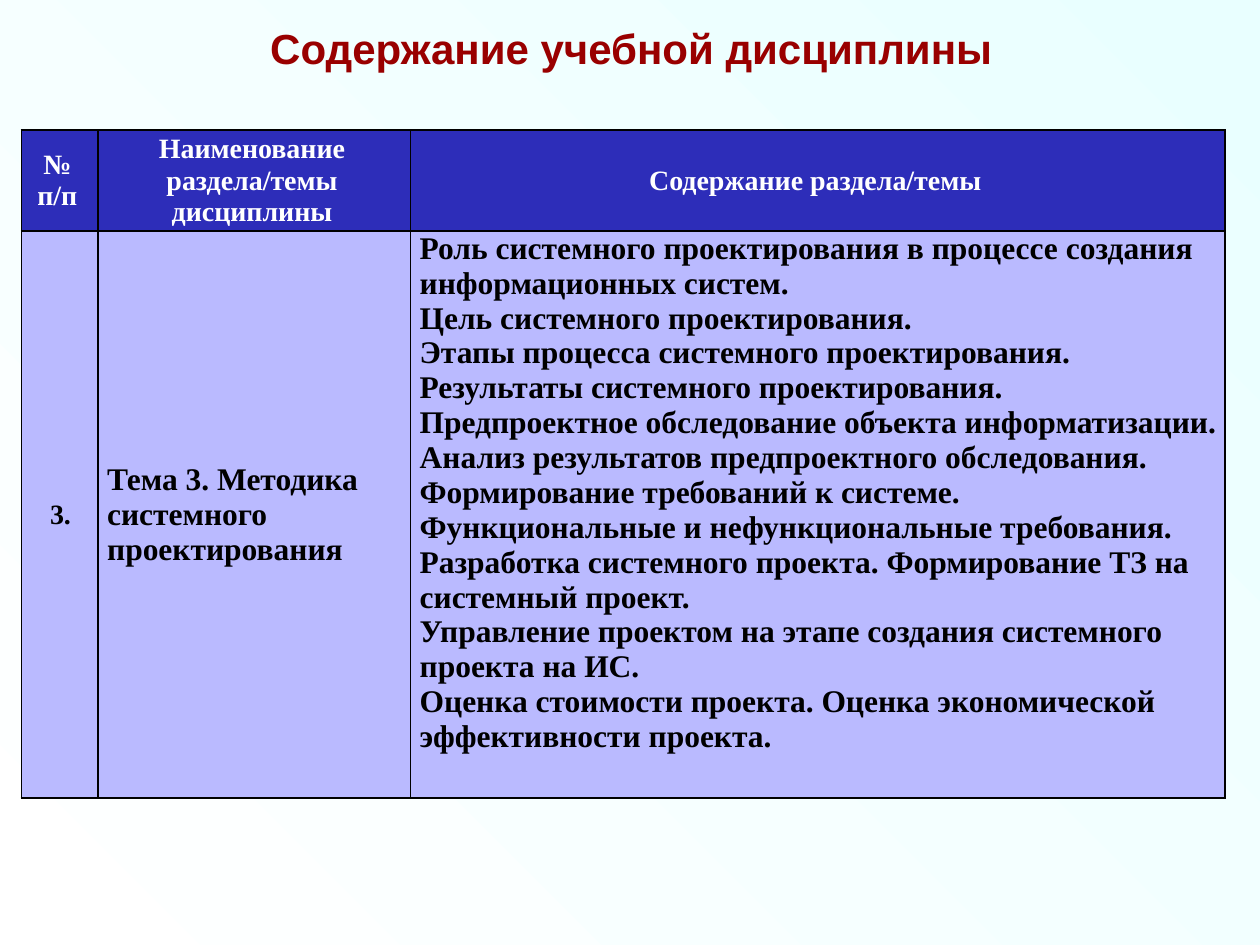
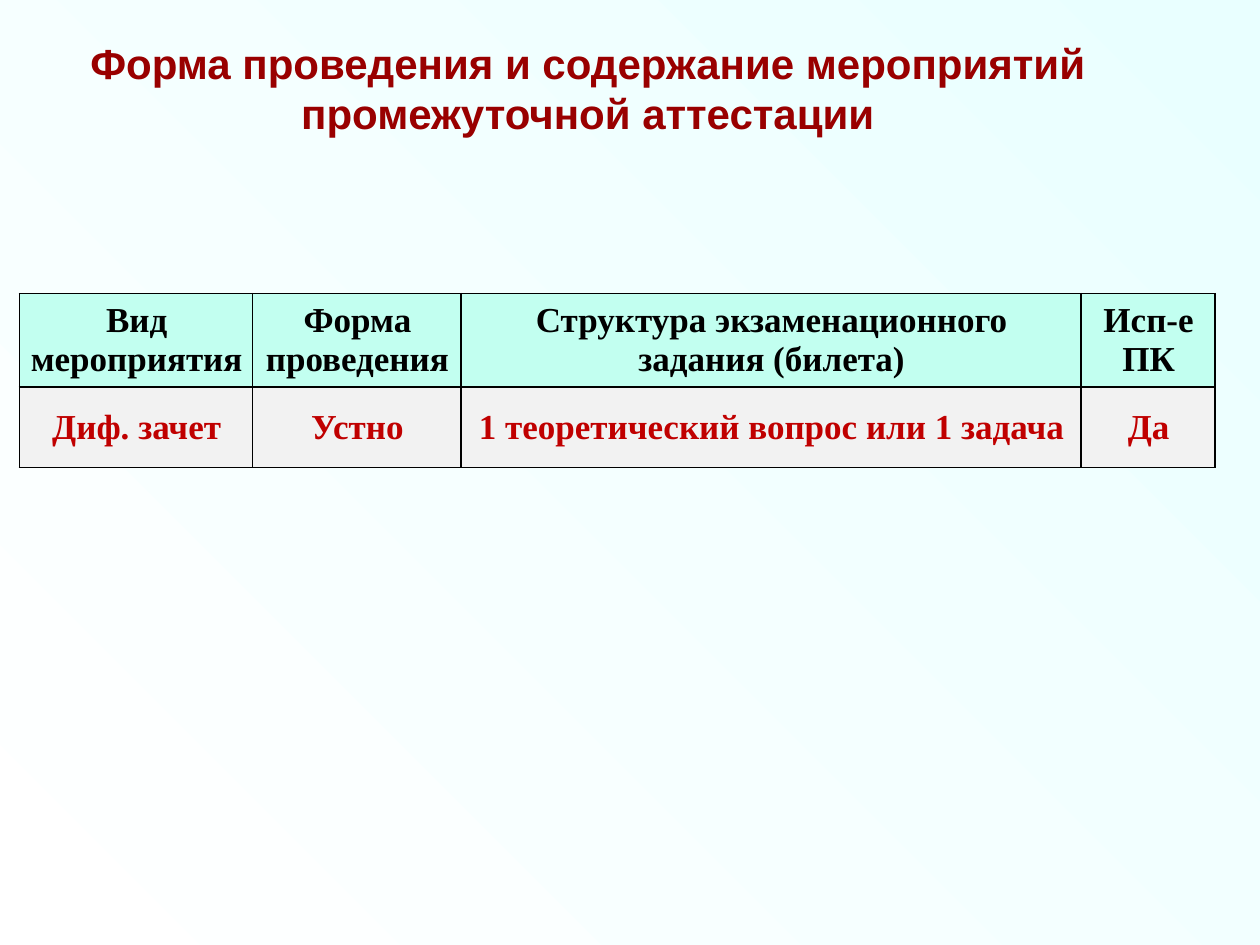
from lxml.etree import SubElement
from pptx import Presentation
from pptx.dml.color import RGBColor
from pptx.enum.text import MSO_ANCHOR as Anchor, MSO_AUTO_SIZE as AutoSize, PP_ALIGN as Align
from pptx.oxml import parse_xml
from pptx.oxml.ns import nsdecls, qn
from pptx.util import Cm, Pt

COLORS = {
    "white": "FFFFFF", "sky": "E9FFFF", "black": "000000",
    "title": "990000", "answer": "C00000",
    "topic_head": "2D2DB9", "topic_body": "BABAFF",
    "exam_head": "C2FFF0", "exam_body": "F2F2F2",
}


def color(name):
    return RGBColor.from_string(COLORS[name])


def write(frame, text, font="Times New Roman", size=18, ink="black",
          align=Align.CENTER, spacing=1.0):
    """Fill a text frame with one bold paragraph per line of text."""
    frame.word_wrap = True
    for index, line in enumerate(text.split("\n")):
        paragraph = frame.paragraphs[0] if index == 0 else frame.add_paragraph()
        paragraph.alignment = align
        paragraph.line_spacing = spacing
        paragraph.space_before = Pt(0)
        run = paragraph.add_run()
        run.text = line
        run.font.name, run.font.size, run.font.bold = font, Pt(size), True
        run.font.color.rgb = color(ink)


class Deck:
    def __init__(self):
        self.prs = Presentation()
        self.prs.slide_width, self.prs.slide_height = Cm(25.4), Cm(19.05)
        self.slide = None
        # Shared gradient: white at lower left, sky at upper right
        backdrop = self.prs.slide_master.background.fill
        backdrop.gradient()
        backdrop.gradient_angle = 45
        for stop, name, position in zip(backdrop.gradient_stops, ("white", "sky"), (0, 1)):
            stop.color.rgb = color(name)
            stop.position = position

    def add_slide(self, heading, left, top, width, height, spacing=1.0):
        self.slide = self.prs.slides.add_slide(self.prs.slide_layouts[5])
        title = self.slide.shapes.title
        title.left, title.top, title.width, title.height = map(Cm, (left, top, width, height))
        title.text_frame.auto_size = AutoSize.NONE
        title.text_frame.vertical_anchor = Anchor.TOP
        write(title.text_frame, heading, font="Arial", size=24, ink="title", spacing=spacing)

    def add_table(self, left, top, widths, heights):
        frame = self.slide.shapes.add_table(
            len(heights), len(widths), Cm(left), Cm(top), Cm(sum(widths)), Cm(sum(heights)))
        for column, width in zip(frame.table.columns, widths):
            column.width = Cm(width)
        for row, height in zip(frame.table.rows, heights):
            row.height = Cm(height)
        return frame.table

    def fill_cell(self, cell, text, fill, anchor=Anchor.MIDDLE, right=0.15, **style):
        cell.margin_left, cell.margin_right = Cm(0.18), Cm(right)
        cell.margin_top = cell.margin_bottom = 0
        cell.vertical_anchor = anchor
        cell.fill.solid()
        cell.fill.fore_color.rgb = color(fill)
        self.add_borders(cell)
        write(cell.text_frame, text, **style)

    def add_borders(self, cell):
        properties = cell._tc.get_or_add_tcPr()
        for index, side in enumerate("LRTB"):
            border = parse_xml(f'<a:ln{side} {nsdecls("a")} w="{Pt(1)}"/>')
            paint = SubElement(border, qn("a:solidFill"))
            SubElement(paint, qn("a:srgbClr"), val=COLORS["black"])
            properties.insert(index, border)

    def fill_row(self, row, texts, fill, **style):
        for cell, text in zip(row.cells, texts):
            self.fill_cell(cell, text, fill, **style)


TOPIC_CONTENT = "\n".join((
    "Роль системного проектирования в процессе создания информационных систем.",
    "Цель системного проектирования.",
    "Этапы процесса системного проектирования.",
    "Результаты системного проектирования.",
    "Предпроектное обследование объекта информатизации. "
    "Анализ результатов предпроектного обследования.",
    "Формирование требований к системе. Функциональные и нефункциональные требования.",
    "Разработка системного проекта. Формирование ТЗ на системный проект.",
    "Управление проектом на этапе создания системного проекта на ИС.",
    "Оценка стоимости проекта. Оценка экономической эффективности проекта.",
))


def main():
    deck = Deck()

    # Course content
    deck.add_slide("Содержание учебной дисциплины", 0, 0.22, 25.45, 1.3, spacing=1.1)
    topics = deck.add_table(0.43, 2.62, (1.55, 6.3, 16.41), (2.04, 11.43))
    deck.fill_row(topics.rows[0],
                  ("№\nп/п", "Наименование раздела/темы дисциплины", "Содержание раздела/темы"),
                  "topic_head", right=0.28, size=16, ink="white")
    number, topic, content = topics.rows[1].cells
    deck.fill_cell(number, "3.", "topic_body", size=16)
    deck.fill_cell(topic, "Тема 3. Методика системного проектирования", "topic_body",
                   align=Align.LEFT)
    deck.fill_cell(content, TOPIC_CONTENT, "topic_body", anchor=Anchor.TOP, right=0.1,
                   align=Align.LEFT)

    # Interim assessment
    deck.add_slide("Форма проведения и содержание мероприятий промежуточной аттестации",
                   1.2, 0.63, 21.3, 2.32)
    exam = deck.add_table(0.39, 5.92, (4.7, 4.2, 12.5, 2.7), (1.88, 1.62))
    deck.fill_row(exam.rows[0],
                  ("Вид мероприятия", "Форма проведения",
                   "Структура экзаменационного задания (билета)", "Исп-е ПК"),
                  "exam_head", size=20)
    deck.fill_row(exam.rows[1],
                  ("Диф. зачет", "Устно", "1 теоретический вопрос или 1 задача", "Да"),
                  "exam_body", size=20, ink="answer")

    deck.prs.save("out.pptx")


if __name__ == "__main__":
    main()
